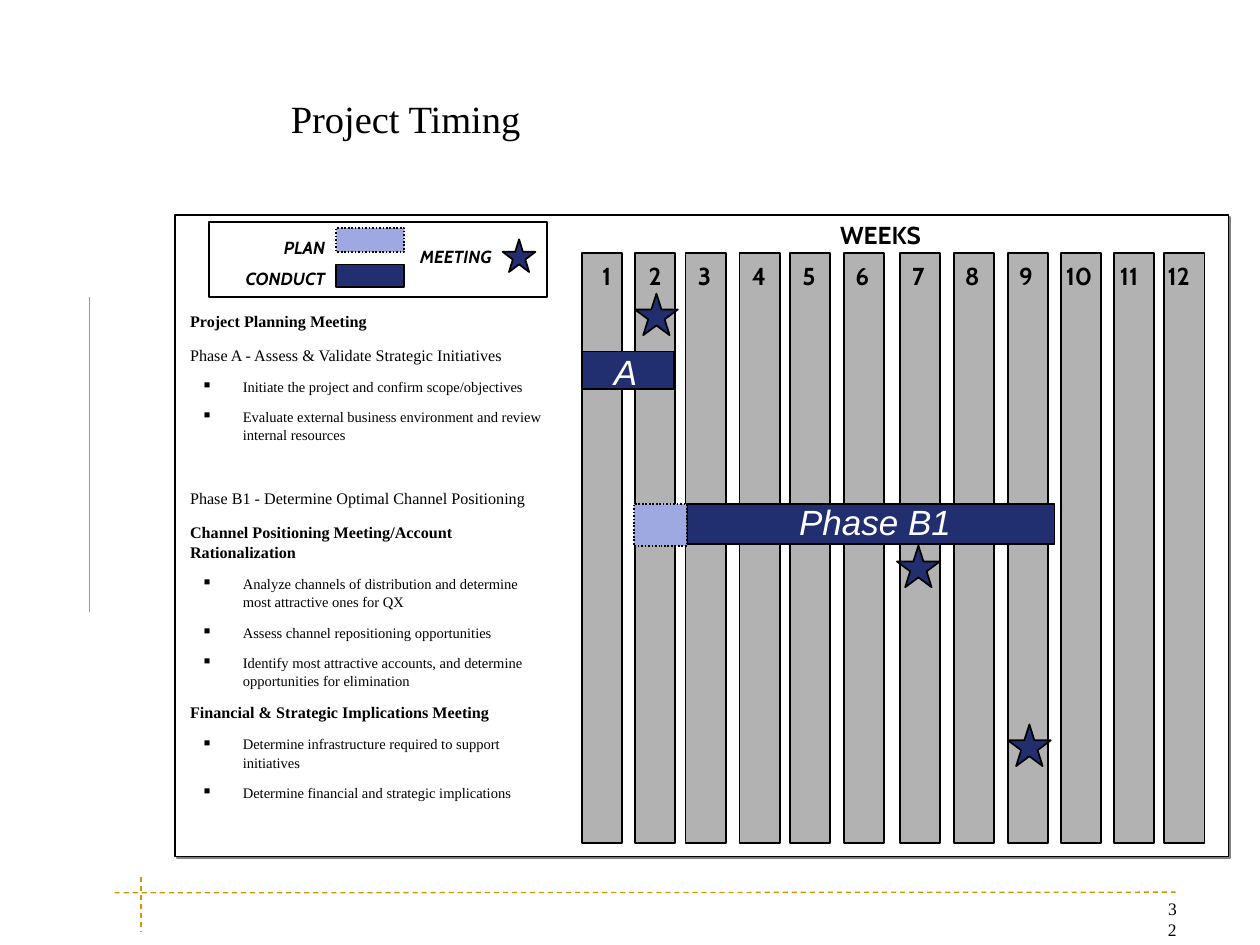
from typing import NamedTuple

from lxml.etree import SubElement
from pptx import Presentation
from pptx.dml.color import RGBColor
from pptx.enum.dml import MSO_LINE
from pptx.enum.shapes import MSO_CONNECTOR, MSO_SHAPE
from pptx.enum.text import MSO_ANCHOR, MSO_AUTO_SIZE, PP_ALIGN
from pptx.oxml.ns import qn
from pptx.util import Pt

COLORS = {
    "black": "000000",
    "white": "FFFFFF",
    "gold": "D09805",
    "week": "B2B2B2",
    "conduct": "212E6F",
    "plan": "9EA9E2",
    "shadow": "808080",
}
SERIF, LABEL, BAR = "Times New Roman", "Cabin", "Arial"


class Box(NamedTuple):
    left: float
    top: float
    width: float
    height: float


class Week(NamedTuple):
    left: float
    label_left: float


class Entry(NamedTuple):
    text: str
    bold: bool = False
    bullet: bool = False
    before: float = 2.5


class Bar(NamedTuple):
    box: Box
    color: str
    dotted: bool = False


class Rule(NamedTuple):
    start: tuple
    end: tuple
    dashed: bool


WEEKS = [
    Week(332.6, 337), Week(362.9, 363.6), Week(391.7, 391.7), Week(422.6, 422.6),
    Week(451.4, 451.4), Week(482.2, 481.7), Week(514.1, 514.1), Week(545, 544.3),
    Week(576, 575.3), Week(606.2, 602), Week(636.5, 632.9), Week(665.3, 660.2),
]
ENTRIES = [
    Entry("Project Planning Meeting", bold=True, before=0),
    Entry("Phase A - Assess & Validate Strategic Initiatives"),
    Entry("Initiate the project and confirm scope/objectives", bullet=True, before=2.2),
    Entry("Evaluate external business environment and review internal resources", bullet=True, before=2.2),
    Entry("Phase B1 - Determine Optimal Channel Positioning", before=20.7),
    Entry("Channel Positioning Meeting/Account Rationalization", bold=True),
    Entry("Analyze channels of distribution and determine most attractive ones for QX", bullet=True, before=2.2),
    Entry("Assess channel repositioning opportunities", bullet=True, before=2.2),
    Entry("Identify most attractive accounts, and determine opportunities for elimination", bullet=True, before=2.2),
    Entry("Financial & Strategic Implications Meeting", bold=True),
    Entry("Determine infrastructure required to support initiatives", bullet=True, before=2.2),
    Entry("Determine financial and strategic implications", bullet=True, before=2.2),
]
BARS = [
    Bar(Box(332.6, 200.9, 52.6, 21.6), "conduct"),
    Bar(Box(392.4, 288, 210.2, 23), "conduct"),
    Bar(Box(362.2, 288, 30.2, 24), "plan", dotted=True),
]
LEGEND_BARS = [
    Bar(Box(192.2, 151.2, 38.9, 13), "conduct"),
    Bar(Box(192.2, 130.3, 38.9, 13.7), "plan", dotted=True),
]
STARS = [(512.6, 311.8), (362.9, 167.8), (576, 414)]
RULES = [
    Rule((51.1, 170), (51.1, 350), False),
    Rule((65.5, 510.2), (671.8, 509.8), True),
    Rule((80.6, 501), (80.6, 532.8), True),
]


def color(name: str) -> RGBColor:
    return RGBColor.from_string(COLORS[name])


def write(paragraph, text: str, *, size: float, font: str, fill: str = "black",
          bold: bool = False, italic: bool = False, align=PP_ALIGN.LEFT,
          before: float = 0, after: float = 0, spacing: float = 1.0) -> None:
    paragraph.alignment = align
    paragraph.space_before = Pt(before)
    paragraph.space_after = Pt(after)
    paragraph.line_spacing = spacing
    run = paragraph.add_run()
    run.text = text
    run.font.size = Pt(size)
    run.font.name = font
    run.font.bold = bold
    run.font.italic = italic
    run.font.color.rgb = color(fill)


def indent(paragraph, margin: float, first: float) -> None:
    properties = paragraph._p.get_or_add_pPr()
    properties.set("marL", str(Pt(margin)))
    properties.set("indent", str(Pt(first)))


def add_bullet(paragraph) -> None:
    indent(paragraph, 30.2, -22.3)
    properties = paragraph._p.get_or_add_pPr()
    bullet_color = SubElement(properties, qn("a:buClr"))
    SubElement(bullet_color, qn("a:srgbClr"), val=COLORS["black"])
    SubElement(properties, qn("a:buSzPct"), val="60000")
    SubElement(properties, qn("a:buChar"), char="■")


def add_text(shapes, box: Box, *lines: str, wrap: bool = True, **formats):
    frame = shapes.add_textbox(*map(Pt, box)).text_frame
    frame.word_wrap = wrap
    if not wrap:
        frame.auto_size = MSO_AUTO_SIZE.SHAPE_TO_FIT_TEXT
    for index, line in enumerate(lines):
        paragraph = frame.add_paragraph() if index else frame.paragraphs[0]
        write(paragraph, line, before=5.6 if index else 0, **formats)
    return frame


def add_figure(shapes, box: Box, fill: str | None, kind=MSO_SHAPE.RECTANGLE, dotted: bool = False):
    shape = shapes.add_shape(kind, *map(Pt, box))
    shape.shadow.inherit = False
    if fill:
        shape.fill.solid()
        shape.fill.fore_color.rgb = color(fill)
    else:
        shape.fill.background()
    shape.line.color.rgb = color("black")
    shape.line.width = Pt(1)
    if dotted:
        shape.line.dash_style = MSO_LINE.ROUND_DOT
    return shape


def add_rule(shapes, rule: Rule) -> None:
    connector = shapes.add_connector(MSO_CONNECTOR.STRAIGHT, *map(Pt, rule.start + rule.end))
    connector.line.color.rgb = color("gold")
    connector.line.width = Pt(0.75)
    if rule.dashed:
        connector.line.dash_style = MSO_LINE.DASH
    SubElement(connector._element.spPr, qn("a:effectLst"))


def add_panel(shapes) -> None:
    panel = add_figure(shapes, Box(100, 123, 602, 366.5), "white")
    effects = panel._element.spPr.find(qn("a:effectLst"))
    shadow = SubElement(effects, qn("a:outerShdw"), dist=str(Pt(1.4)), dir="2700000")
    SubElement(shadow, qn("a:srgbClr"), val=COLORS["shadow"])


def add_entries(shapes) -> None:
    frame = shapes.add_textbox(*map(Pt, Box(101.5, 174, 216.7, 289))).text_frame
    frame.word_wrap = True
    for index, entry in enumerate(ENTRIES):
        paragraph = frame.add_paragraph() if index else frame.paragraphs[0]
        if entry.bullet:
            add_bullet(paragraph)
        write(paragraph, entry.text, size=8.3 if entry.bullet else 9.2, font=SERIF,
              bold=entry.bold, before=entry.before,
              after=4.5 if entry.bullet else 5, spacing=1.05)


def add_legend(shapes) -> None:
    legend = shapes.add_group_shape().shapes
    style = dict(size=10, font=LABEL, bold=True, italic=True, align=PP_ALIGN.RIGHT)
    for bar in LEGEND_BARS:
        add_figure(legend, bar.box, bar.color, dotted=bar.dotted)
    add_text(legend, Box(102.2, 131.8, 90.7, 36.7), "PLAN", "CONDUCT", **style)
    add_figure(legend, Box(119.5, 126.7, 193, 43.2), None)
    add_figure(legend, Box(287.3, 136.8, 18.7, 18.7), "conduct", MSO_SHAPE.STAR_5_POINT)
    add_text(legend, Box(197.3, 136.8, 90.7, 19.4), "MEETING", **style)


def main() -> None:
    presentation = Presentation()
    presentation.slide_width, presentation.slide_height = Pt(720), Pt(540)
    slide = presentation.slides.add_slide(presentation.slide_layouts[5])
    shapes = slide.shapes

    title = shapes.title
    title.left, title.top, title.width, title.height = map(Pt, Box(159, -5.8, 561.6, 90))
    title.text_frame.vertical_anchor = MSO_ANCHOR.BOTTOM
    write(title.text_frame.paragraphs[0], "Project Timing", size=22, font=SERIF)

    for rule in RULES:
        add_rule(shapes, rule)
    add_panel(shapes)
    add_entries(shapes)

    heading = dict(size=14, font=LABEL, bold=True, wrap=False)
    add_text(shapes, Box(473, 122.4, 60.5, 24.5), "WEEKS", **heading)
    for number, week in enumerate(WEEKS, start=1):
        add_figure(shapes, Box(week.left, 144.7, 23, 337), "week")
        width = 22.3 if number < 10 else 30.2
        add_text(shapes, Box(week.label_left, 147.6, width, 22.3), str(number), spacing=0.9, **heading)

    for bar in BARS:
        add_figure(shapes, bar.box, bar.color, dotted=bar.dotted)
    for left, top in STARS:
        add_figure(shapes, Box(left, top, 24.5, 23.8), "conduct", MSO_SHAPE.STAR_5_POINT)
    for text, left, top in (("Phase B1", 446.4, 282.2), ("A", 303.8, 196.6)):
        add_text(shapes, Box(left, top, 107.3, 31.7), text, size=20, font=BAR,
                 fill="white", italic=True, align=PP_ALIGN.CENTER)

    add_legend(shapes)
    number_frame = add_text(shapes, Box(648, 509.8, 30.2, 24.5), "32", size=10, font=SERIF, align=PP_ALIGN.RIGHT)
    indent(number_frame.paragraphs[0], 17.3, 0)
    presentation.save("out.pptx")


if __name__ == "__main__":
    main()
